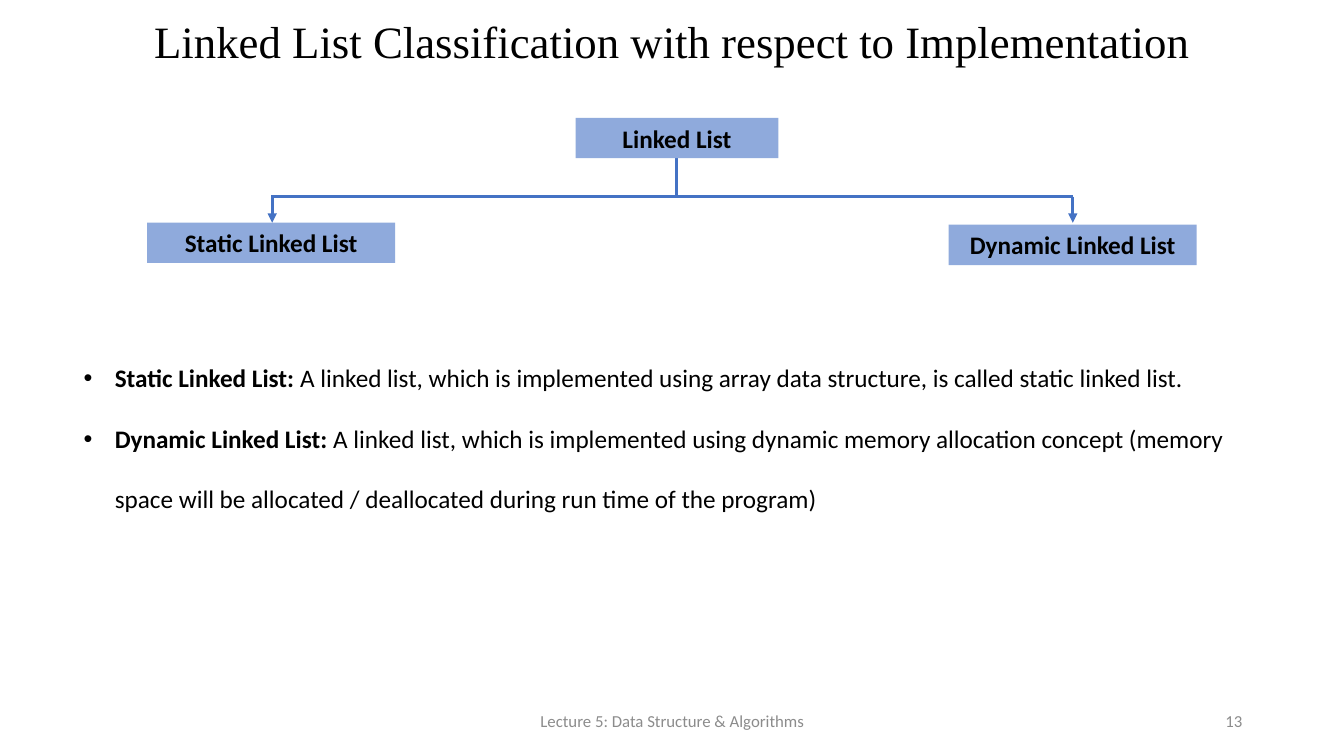
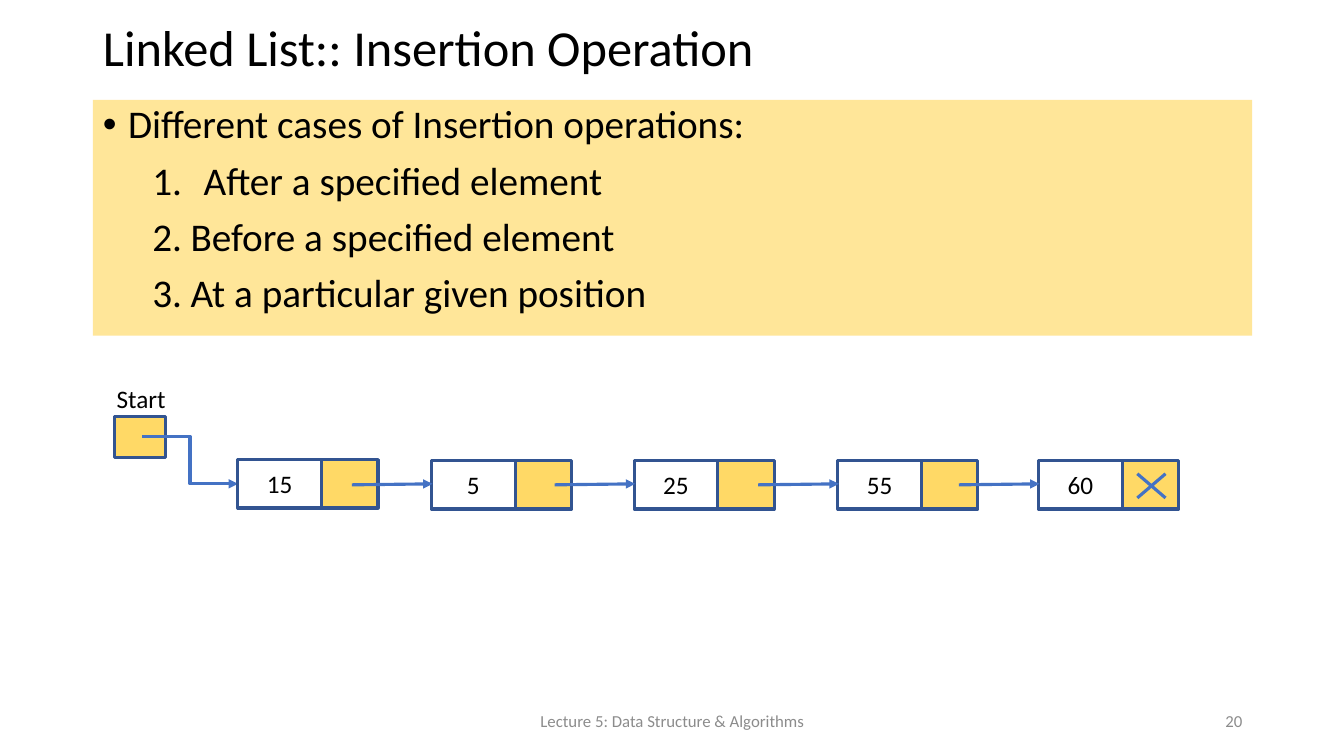
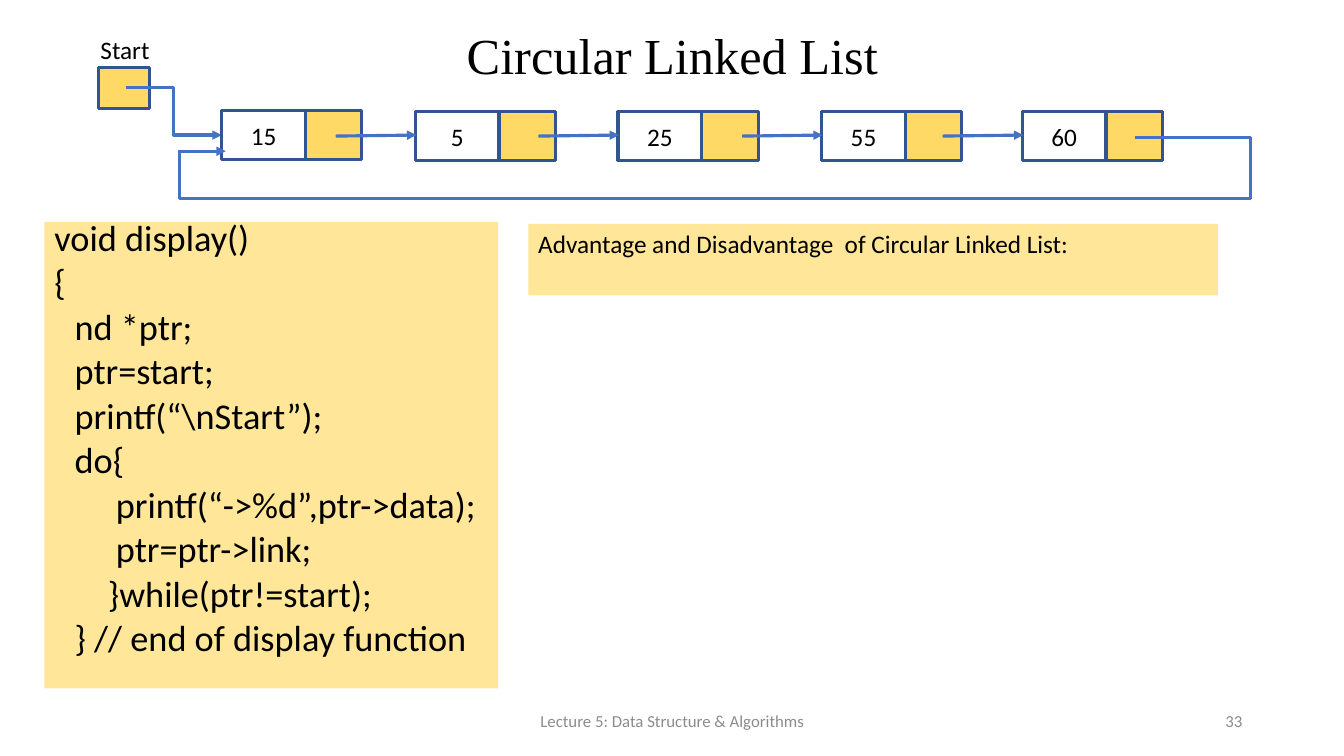
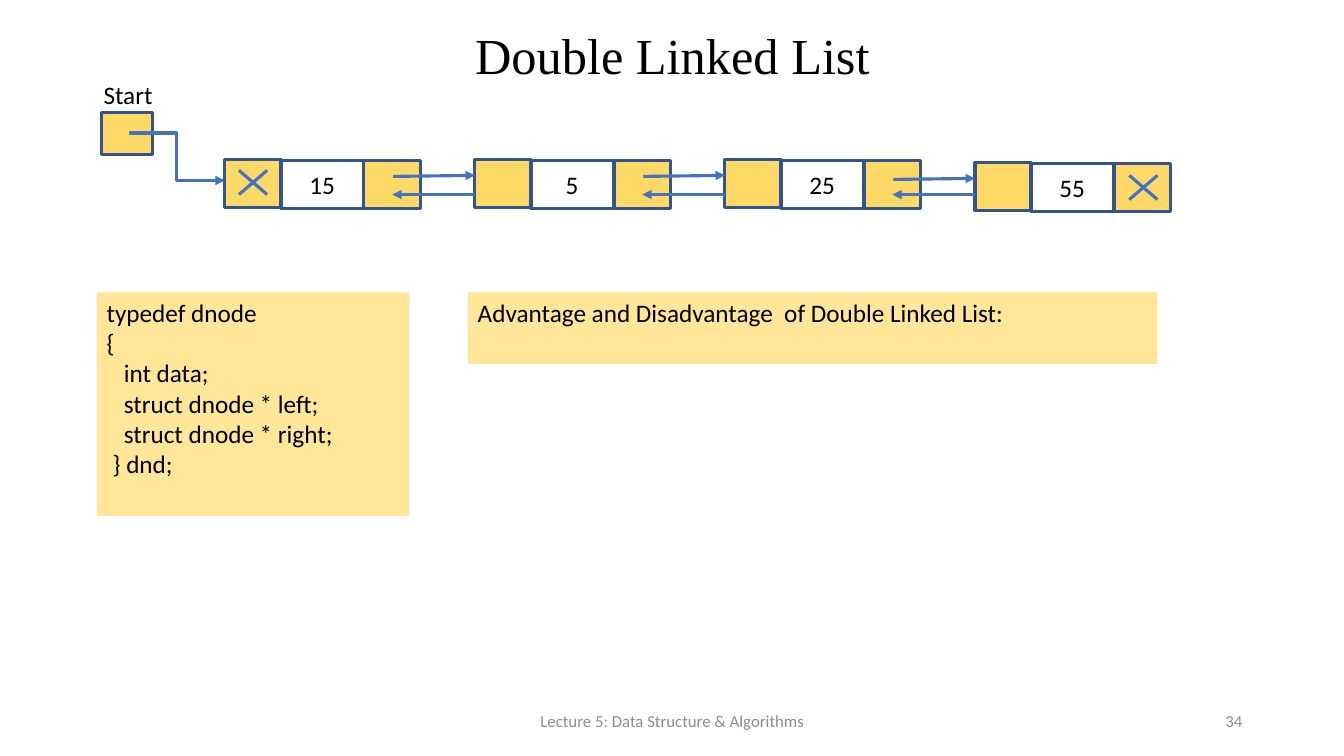
from lxml.etree import SubElement
from pptx import Presentation
from pptx.dml.color import RGBColor
from pptx.enum.shapes import MSO_CONNECTOR, MSO_SHAPE
from pptx.enum.text import MSO_ANCHOR, MSO_AUTO_SIZE, PP_ALIGN
from pptx.oxml.ns import qn
from pptx.util import Inches, Pt

BLACK, GREY = "000000", "8C8C8C"
BLUE, NAVY, LABEL_BLUE = "4472C4", "325491", "8FAADC"
GOLD, CREAM = "FFD966", "FFE699"
SANS, SERIF = "Calibri", "Times New Roman"
LEFT, CENTER, RIGHT = PP_ALIGN.LEFT, PP_ALIGN.CENTER, PP_ALIGN.RIGHT
FOOTER = "Lecture 5: Data Structure & Algorithms"
DATA_W, LINK_W, NODE_H = 0.83, 0.56, 0.48
TITLE_ONLY, TITLE_AND_BODY = 5, 1


def rgb(value):
    return RGBColor.from_string(value)


class Deck:
    """Holds the style and the current slide."""

    def __init__(self):
        self.prs = Presentation()
        self.prs.slide_width, self.prs.slide_height = Inches(13.33), Inches(7.5)
        self.s = None

    # Slide frame
    def slide(self, title, number, box, layout=TITLE_ONLY, size=36, font=SERIF, align=CENTER):
        self.s = self.prs.slides.add_slide(self.prs.slide_layouts[layout])
        sp = self.place(self.s.shapes.title, *box)
        self.fill_text(sp, [title], size, align, MSO_ANCHOR.MIDDLE, font=font, spacing=0.9)
        self.text(4.42, 6.95, 4.5, 0.4, [FOOTER], 12, CENTER, MSO_ANCHOR.MIDDLE, color=GREY)
        self.text(9.42, 6.95, 3, 0.4, [str(number)], 12, RIGHT, MSO_ANCHOR.MIDDLE, color=GREY)

    def place(self, sp, x, y, w, h):
        sp.left, sp.top, sp.width, sp.height = map(Inches, (x, y, w, h))
        return sp

    # Text
    def fill_text(self, sp, lines, size=18, align=LEFT, anchor=MSO_ANCHOR.TOP,
                  color=BLACK, font=SANS, bold=False, spacing=None, before=None):
        tf = sp.text_frame
        tf.word_wrap, tf.auto_size, tf.vertical_anchor = True, MSO_AUTO_SIZE.NONE, anchor
        tf.text = "\n".join(lines)
        for p in tf.paragraphs:
            p.alignment, p.line_spacing = align, spacing
            if before is not None:
                p.space_before = Pt(before)
            for r in p.runs:
                self.style(r, size, color, font, bold)
        return tf.paragraphs

    def style(self, r, size=18, color=BLACK, font=SANS, bold=False):
        r.font.size, r.font.name, r.font.bold = Pt(size), font, bold
        r.font.color.rgb = rgb(color)

    def indent(self, p, left, hanging=0, bullet=None, start=None):
        pPr = p._p.get_or_add_pPr()
        pPr.set("marL", str(Inches(left)))
        pPr.set("indent", str(-Inches(hanging)))
        if start:
            SubElement(pPr, qn("a:buAutoNum"), type="arabicPeriod", startAt=str(start))
        elif bullet:
            SubElement(pPr, qn("a:buFont"), typeface="Arial")
            SubElement(pPr, qn("a:buChar"), char=bullet)
        else:
            SubElement(pPr, qn("a:buNone"))

    def text(self, x, y, w, h, lines, *args, fill=None, **style):
        sp = self.s.shapes.add_textbox(*map(Inches, (x, y, w, h)))
        if fill:
            sp.fill.solid()
            sp.fill.fore_color.rgb = rgb(fill)
        return self.fill_text(sp, lines, *args, **style)

    def body(self, x, y, w, h, lines, size, spacing):
        sp = self.place(self.s.placeholders[1], x, y, w, h)
        sp.fill.solid()
        sp.fill.fore_color.rgb = rgb(CREAM)
        return self.fill_text(sp, lines, size, spacing=spacing, before=10)

    # Lines
    def line(self, x1, y1, x2, y2, arrow=True, elbow=False, bend=None):
        kind = MSO_CONNECTOR.ELBOW if elbow else MSO_CONNECTOR.STRAIGHT
        cn = self.s.shapes.add_connector(kind, *map(Inches, (x1, y1, x2, y2)))
        cn.line.color.rgb, cn.line.width = rgb(BLUE), Pt(2.25)
        spPr = cn._element.spPr
        if arrow:
            SubElement(spPr.get_or_add_ln(), qn("a:tailEnd"), type="triangle")
        if bend is not None:
            guides = spPr.find(qn("a:prstGeom")).get_or_add_avLst()
            SubElement(guides, qn("a:gd"), name="adj1", fmla=f"val {bend}")
        SubElement(spPr, qn("a:effectLst"))

    # Linked list parts
    def cell(self, x, y, w, h=NODE_H, value=None):
        sp = self.s.shapes.add_shape(MSO_SHAPE.RECTANGLE, *map(Inches, (x, y, w, h)))
        sp.shadow.inherit = False
        sp.line.color.rgb, sp.line.width = rgb(NAVY), Pt(2.25)
        if value is None:
            sp.fill.solid()
            sp.fill.fore_color.rgb = rgb(GOLD)
        else:
            sp.fill.background()
            self.fill_text(sp, [value], 18, CENTER, MSO_ANCHOR.MIDDLE)

    def node(self, x, y, value):
        self.cell(x, y, DATA_W, value=value)
        self.cell(x + DATA_W, y, LINK_W)

    def null(self, x, y):
        """Cross out the link cell at x, y."""
        x1, x2, y1, y2 = x + 0.14, x + 0.42, y + 0.13, y + 0.37
        self.line(x1, y1, x2, y2, arrow=False)
        self.line(x2, y1, x1, y2, arrow=False)

    def start(self, x, y):
        self.cell(x, y, 0.5, 0.41)
        self.text(x - 0.22, y - 0.38, 0.96, 0.4, ["Start"], 18, CENTER)
        self.line(x + 0.27, y + 0.2, x + 1.22, y + 0.67, elbow=True)

    def single_list(self, x, y):
        """Start pointer at x, y followed by five nodes."""
        self.start(x, y)
        lefts = [x + dx for dx in (1.22, 3.14, 5.15, 7.17, 9.16)]
        tops = [y + 0.43] + [y + 0.44] * 4
        for left, top, value in zip(lefts, tops, ("15", "5", "25", "55", "60")):
            self.node(left, top, value)
        for left in lefts[1:]:
            self.line(left - 0.79, y + 0.68, left + 0.01, y + 0.67)

    def double_list(self, x, y):
        """Start pointer at x, y followed by four nodes linked both ways."""
        self.start(x, y)
        step, values = 2.48, ("15", "5", "25", "55")
        lefts = [x + 1.22 + i * step for i in range(len(values))]
        tops = [y + 0.46] * 3 + [y + 0.49]
        for left, top, value in zip(lefts, tops, values):
            self.cell(left, top, LINK_W)
            self.node(left + 0.55, top + 0.01, value)
        for left, dy in zip(lefts, (0.63, 0.63, 0.66)):
            self.line(left + 1.67, y + dy, left + step, y + dy - 0.01)
            self.line(left + step, y + 0.81, left + 1.66, y + 0.81)
        self.null(lefts[0], tops[0] - 0.02)
        self.null(lefts[-1] + 1.39, tops[-1])


deck = Deck()

# Slide 1: classification tree
deck.slide("Linked List Classification with respect to Implementation", 13,
           (0.92, 0.33, 11.5, 0.22), size=32)
deck.line(2.69, 1.95, 10.64, 1.95, arrow=False)
deck.line(6.71, 1.55, 6.71, 1.95, arrow=False)
for x in (2.7, 10.64):
    deck.line(x, 1.95, x, 2.21)
for x, y, w, label in ((5.71, 1.17, 2.01, "Linked List"),
                       (1.46, 2.21, 2.46, "Static Linked List"),
                       (9.41, 2.23, 2.46, "Dynamic Linked List")):
    deck.text(x, y, w, 0.4, [label], 18, CENTER, fill=LABEL_BLUE, bold=True)
terms = ("Static Linked List: ", "Dynamic Linked List: ")
meanings = (
    "A linked list, which is implemented using array data structure, is called static linked list.",
    "A linked list, which is implemented using dynamic memory allocation concept "
    "(memory space will be allocated / deallocated during run time of the program)",
)
definitions = deck.text(0.73, 3.25, 11.91, 1.83, terms, bold=True, spacing=2.0)
for p, meaning in zip(definitions, meanings):
    r = p.add_run()
    r.text = meaning
    deck.style(r)
    deck.indent(p, 0.31, 0.31, bullet="•")

# Slide 2: insertion
deck.slide("Linked List:: Insertion Operation", 20, (0.92, 0.15, 7.28, 0.7),
           TITLE_AND_BODY, font=SANS, align=LEFT)
heading, first, *others = deck.body(0.92, 0.99, 11.5, 2.34, [
    "Different cases of Insertion operations:",
    "After a specified element",
    "Before a specified element",
    "At a particular given position",
], 28, 0.9)
deck.indent(heading, 0.25, 0.25, bullet="•")
deck.indent(first, 1, 0.51, start=1)
for p in others:
    deck.indent(p, 0.87, 0.38, start=2)
deck.single_list(1.14, 4.13)
deck.null(11.14, 4.57)

# Slide 3: circular list
HEADING_BOX = (0.92, 0.28, 11.5, 0.6)
deck.slide("Circular Linked List", 33, HEADING_BOX, TITLE_AND_BODY)
deck.single_list(0.98, 0.67)
deck.line(11.26, 1.36, 12.4, 1.97, arrow=False, elbow=True, bend=100000)
deck.line(12.41, 1.97, 1.78, 1.5, arrow=False, elbow=True, bend=100000)
deck.line(1.77, 1.5, 2.24, 1.5)
display_code = (
    (0, "void display()"), (0, "{"), (0.2, "nd *ptr;"), (0.2, "ptr=start;"),
    (0.2, "printf(“\\nStart”);"), (0.2, "do{"),
    (0.61, "printf(“->%d”,ptr->data);"), (0.61, "ptr=ptr->link;"),
    (0.53, "}while(ptr!=start);"), (0.2, "} // end of display function"),
)
code = deck.body(0.44, 2.2, 4.5, 4.63, [t for _, t in display_code], 25.9, 0.7)
for p, (left, _) in zip(code, display_code):
    deck.indent(p, left)
deck.text(5.24, 2.22, 6.84, 0.71,
          ["Advantage and Disadvantage  of Circular Linked List:"], fill=CREAM)

# Slide 4: double list
deck.slide("Double Linked List", 34, HEADING_BOX)
deck.double_list(1.01, 1.12)
struct_code = (
    (0, "typedef dnode"), (0, "{"), (0.17, "int data;"), (0.17, "struct dnode * left;"),
    (0.17, "struct dnode * right;"), (0.06, "} dnd;"),
)
code = deck.text(0.96, 2.9, 3.1, 2.22, [t for _, t in struct_code], fill=CREAM)
for p, (left, _) in zip(code, struct_code):
    deck.indent(p, left)
deck.text(4.64, 2.9, 6.84, 0.71,
          ["Advantage and Disadvantage  of Double Linked List:"], fill=CREAM)

deck.prs.save("out.pptx")
